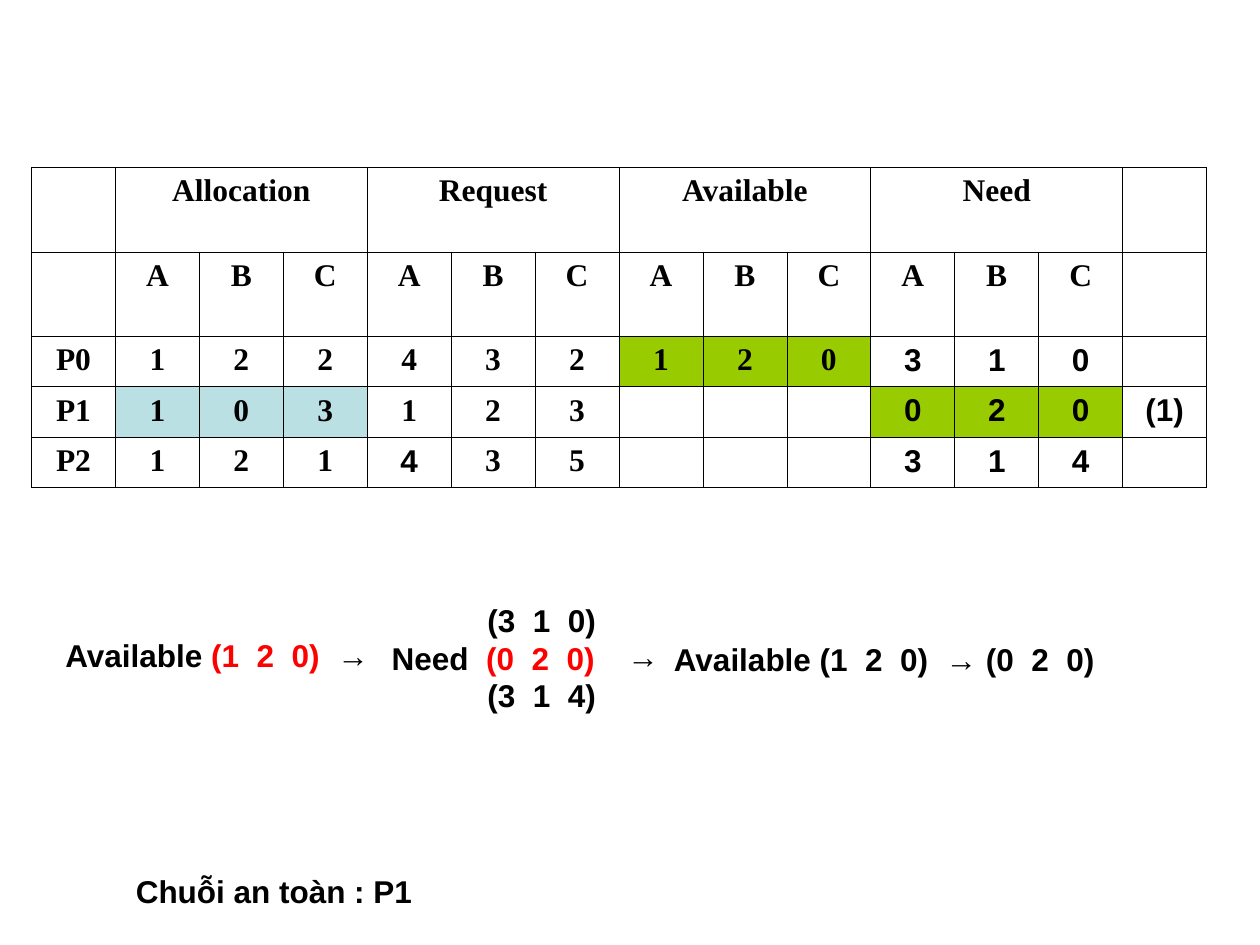
from dataclasses import dataclass

from lxml.etree import SubElement
from pptx import Presentation
from pptx.dml.color import RGBColor
from pptx.enum.text import MSO_AUTO_SIZE as AutoSize, PP_ALIGN as Align
from pptx.oxml.ns import qn
from pptx.util import Inches, Pt


@dataclass(frozen=True)
class Theme:
    ink: RGBColor = RGBColor(0x00, 0x00, 0x00)
    accent: RGBColor = RGBColor(0xFF, 0x00, 0x00)
    chosen: RGBColor = RGBColor(0x99, 0xCC, 0x00)
    held: RGBColor = RGBColor(0xBB, 0xE0, 0xE3)
    sans: str = "Arial"
    serif: str = "Times New Roman"
    size: Pt = Pt(18)
    border: Pt = Pt(0.45)


THEME = Theme()

GROUPS = ["Allocation", "Request", "Available", "Need"]
RESOURCES = ["A", "B", "C"]
PROCESSES = [
    ["P0", "1", "2", "2", "4", "3", "2", "1", "2", "0", "3", "1", "0", ""],
    ["P1", "1", "0", "3", "1", "2", "3", "", "", "", "0", "2", "0", "(1)"],
    ["P2", "1", "2", "1", "4", "3", "5", "", "", "", "3", "1", "4", ""],
]
ROW_HEIGHTS = [0.67, 0.67, 0.4, 0.4, 0.4]
# (row, first column of the group) -> fill
HIGHLIGHTS = {(2, 7): THEME.chosen, (3, 1): THEME.held, (3, 10): THEME.chosen}


def style_font(font, name):
    font.name = name
    font.size = THEME.size
    font.bold = True
    font.color.rgb = THEME.ink


def add_borders(cell):
    properties = cell._tc.get_or_add_tcPr()
    for side in ("lnL", "lnR", "lnT", "lnB"):
        line = SubElement(properties, qn(f"a:{side}"), w=str(THEME.border))
        fill = SubElement(line, qn("a:solidFill"))
        SubElement(fill, qn("a:srgbClr"), val=str(THEME.ink))


def fill_cell(cell, text, font_name, highlight):
    add_borders(cell)
    if highlight:
        cell.fill.solid()
        cell.fill.fore_color.rgb = highlight
    else:
        cell.fill.background()
    paragraph = cell.text_frame.paragraphs[0]
    paragraph.text = text
    paragraph.alignment = Align.CENTER
    style_font(paragraph.font, font_name)


def cell_font(row, column):
    """Worked-out values are sans; the given ones are serif."""
    computed = row >= 2 and column >= 10
    return THEME.sans if computed or (row, column) == (4, 4) else THEME.serif


def add_allocation_table(slide):
    group_row = [""] + [text for group in GROUPS for text in (group, "", "")] + [""]
    resource_row = [""] + RESOURCES * len(GROUPS) + [""]
    rows = [group_row, resource_row] + PROCESSES
    width = Inches(9.33)
    table = slide.shapes.add_table(
        len(rows), len(group_row), Inches(0.25), Inches(1.33),
        width, Inches(sum(ROW_HEIGHTS))).table
    table.first_row = table.horz_banding = False

    for column in table.columns:
        column.width = width // len(group_row)
    for row, height in zip(table.rows, ROW_HEIGHTS):
        row.height = Inches(height)
    for r, texts in enumerate(rows):
        for c, text in enumerate(texts):
            group_start = (c - 1) // 3 * 3 + 1
            fill_cell(table.cell(r, c), text, cell_font(r, c),
                      HIGHLIGHTS.get((r, group_start)))
    for start in range(1, len(group_row) - 1, len(RESOURCES)):
        table.cell(0, start).merge(table.cell(0, start + len(RESOURCES) - 1))


def add_note(slide, left, top, width, lines, height=0.4):
    """Each line is (indent in inches, [(text, colour), ...])."""
    box = slide.shapes.add_textbox(
        Inches(left), Inches(top), Inches(width), Inches(height))
    frame = box.text_frame
    frame.word_wrap = False
    frame.auto_size = AutoSize.SHAPE_TO_FIT_TEXT
    for number, (indent, pieces) in enumerate(lines):
        paragraph = frame.add_paragraph() if number else frame.paragraphs[0]
        style_font(paragraph.font, THEME.sans)
        if indent:
            paragraph._p.get_or_add_pPr().set("marL", str(Inches(indent)))
        for text, colour in pieces:
            run = paragraph.add_run()
            run.text = text
            run.font.color.rgb = colour


def main():
    deck = Presentation()
    deck.slide_width, deck.slide_height = Inches(10), Inches(7.5)
    slide = deck.slides.add_slide(deck.slide_layouts[6])
    ink, accent = THEME.ink, THEME.accent

    # Allocation state
    add_allocation_table(slide)

    # Safety check: available resources against each need
    add_note(slide, 0.42, 5, 2.62, [
        (0, [("Available ", ink), ("(1  2  0)  ", accent), ("→", ink)])])
    need_indent = 0.76
    add_note(slide, 3.01, 4.72, 1.82, [
        (need_indent, [("(3  1  0)", ink)]),
        (0, [("Need  ", ink), ("(0  2  0)", accent)]),
        (need_indent, [("(3  1  4)", ink)])], height=1)
    add_note(slide, 4.88, 5.01, 0.45, [(0, [("→", ink)])])
    add_note(slide, 5.25, 5.03, 3.55, [
        (0, [("Available (1  2  0)  → (0  2  0)", ink)])])

    # Safe sequence so far
    add_note(slide, 0.98, 6.87, 2.46, [(0, [("Chuỗi an toàn : P1", ink)])])

    deck.save("out.pptx")


if __name__ == "__main__":
    main()
